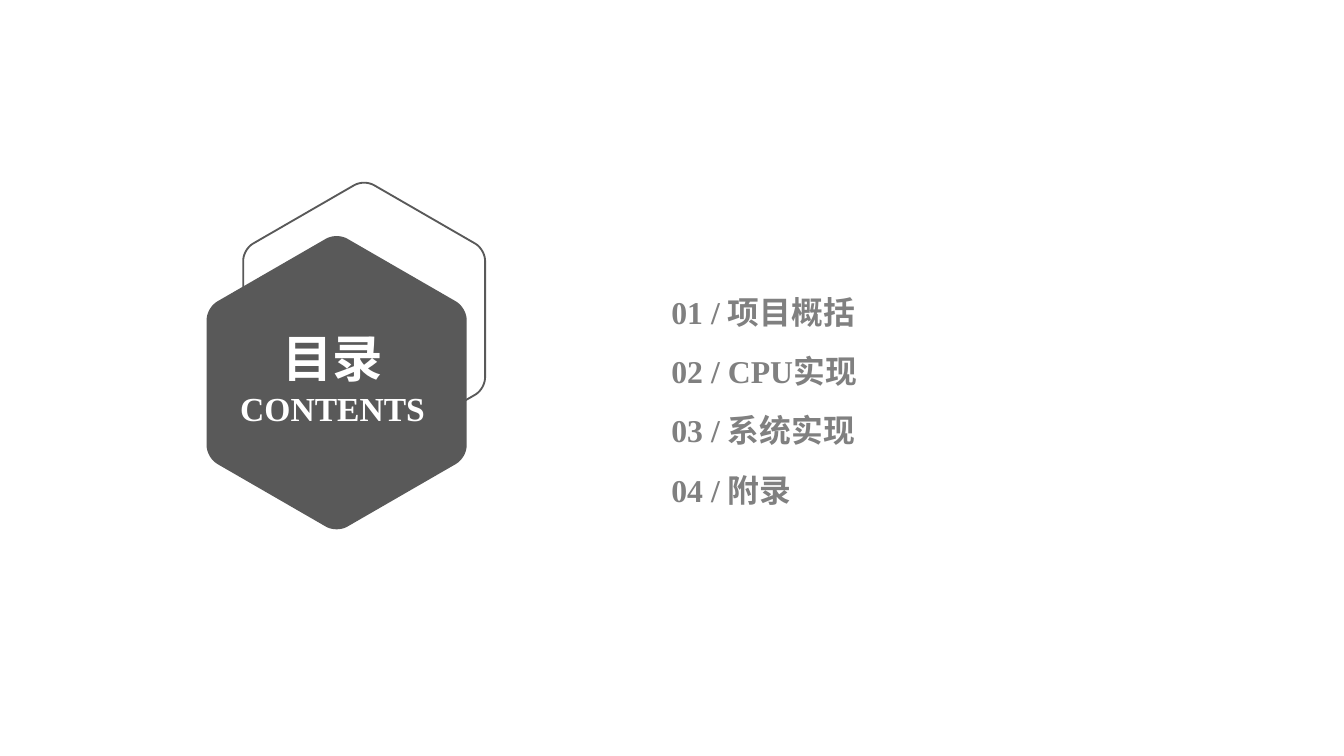
from dataclasses import dataclass
from math import cos, pi, sin, sqrt
from typing import Optional

from pptx import Presentation, util as u
from pptx.dml.color import RGBColor
from pptx.enum import lang, text

CELL = u.Inches(0.1)  # the slide is 100 columns by 56.25 rows
COLS, ROWS = 100, 56.25


@dataclass(frozen=True)
class Theme:
    face: str = "Times New Roman"
    dark: str = "595959"
    grey: str = "808080"
    white: str = "FFFFFF"
    item: int = 17
    title: int = 27
    sub: int = 18
    line: int = 1


@dataclass(frozen=True)
class Hex:
    col: float
    row: float
    width: float
    fill: Optional[str] = None
    line: Optional[str] = None


@dataclass(frozen=True)
class Line:
    words: str
    size: int
    tint: str


@dataclass(frozen=True)
class Box:
    col: float
    row: float
    cols: float
    rows: float
    lines: tuple[Line, ...]
    align: text.PP_ALIGN = text.PP_ALIGN.LEFT


THEME = Theme()
BACK = Hex(27.1, 23.75, 18, line=THEME.dark)
FRONT = Hex(25.05, 28.48, 19.35, fill=THEME.dark)
ITEMS = (("01 / 项目概括", 32.6, 3.6), ("02 / CPU实现", 26.8, 3.6),
         ("03 / 系统实现", 29.8, 3.6), ("04 / 附录", 28.3, 6.5))
LEFT, TOP, STEP = 49.25, 21.35, 4.42
HEAD = Box(15.65, 23.95, 18.2, 8.3,
           (Line("目录", THEME.title, THEME.white),
            Line("CONTENTS", THEME.sub, THEME.white)), text.PP_ALIGN.CENTER)


def grid(n: float) -> int:
    return round(n * CELL)


def outline(hexa: Hex, cut: float = 0.083, pull: float = 0.58,
            steps: int = 10) -> list[tuple[float, float]]:
    """Points of a pointy-top hexagon whose corners are Bezier curves."""
    rad = hexa.width / sqrt(3)
    tips = [(hexa.col + rad * sin(k * pi / 3), hexa.row - rad * cos(k * pi / 3))
            for k in range(6)]

    def mix(a, b, t):
        return tuple(p + (q - p) * t for p, q in zip(a, b))

    dots = []
    for k, tip in enumerate(tips):
        start, end = mix(tip, tips[k - 1], cut), mix(tip, tips[(k + 1) % 6], cut)
        ends = (start, mix(start, tip, pull), mix(end, tip, pull), end)
        for n in range(steps + 1):
            t = n / steps
            parts = ((1 - t) ** 3, 3 * t * (1 - t) ** 2, 3 * t * t * (1 - t), t ** 3)
            dots.append(tuple(sum(w * p[i] for w, p in zip(parts, ends))
                              for i in (0, 1)))
    return dots


def draw_hex(slide, hexa: Hex) -> None:
    dots = [(grid(x), grid(y)) for x, y in outline(hexa)]
    form = slide.shapes.build_freeform(*dots[0])
    form.add_line_segments(dots[1:], close=True)
    shape = form.convert_to_shape()
    shape.shadow.inherit = False
    for part, tint in ((shape.fill, hexa.fill), (shape.line.fill, hexa.line)):
        if tint:
            part.solid()
            part.fore_color.rgb = RGBColor.from_string(tint)
        else:
            part.background()
    if hexa.line:
        shape.line.width = u.Pt(THEME.line)


def draw_box(slide, box: Box) -> None:
    area = map(grid, (box.col, box.row, box.cols, box.rows))
    frame = slide.shapes.add_textbox(*area).text_frame
    form = dict(word_wrap=True, auto_size=text.MSO_AUTO_SIZE.SHAPE_TO_FIT_TEXT,
                margin_left=u.Inches(0.07), margin_right=u.Inches(0.07),
                margin_top=u.Inches(0.04), margin_bottom=u.Inches(0.04))
    for key, val in form.items():
        setattr(frame, key, val)
    for n, line in enumerate(box.lines):
        para = frame.add_paragraph() if n else frame.paragraphs[0]
        para.alignment = box.align
        run = para.add_run()
        run.text = line.words
        form = dict(name=THEME.face, size=u.Pt(line.size), bold=True,
                    language_id=lang.MSO_LANGUAGE_ID.SIMPLIFIED_CHINESE)
        for key, val in form.items():
            setattr(run.font, key, val)
        run.font.color.rgb = RGBColor.from_string(line.tint)


def main() -> None:
    deck = Presentation()
    deck.slide_width, deck.slide_height = grid(COLS), grid(ROWS)
    slide = deck.slides.add_slide(deck.slide_layouts[6])
    draw_hex(slide, BACK)
    for n, (words, cols, rows) in enumerate(ITEMS):
        line = Line(words, THEME.item, THEME.grey)
        draw_box(slide, Box(LEFT, TOP + n * STEP, cols, rows, (line,)))
    draw_hex(slide, FRONT)
    draw_box(slide, HEAD)
    deck.save("out.pptx")


if __name__ == "__main__":
    main()
